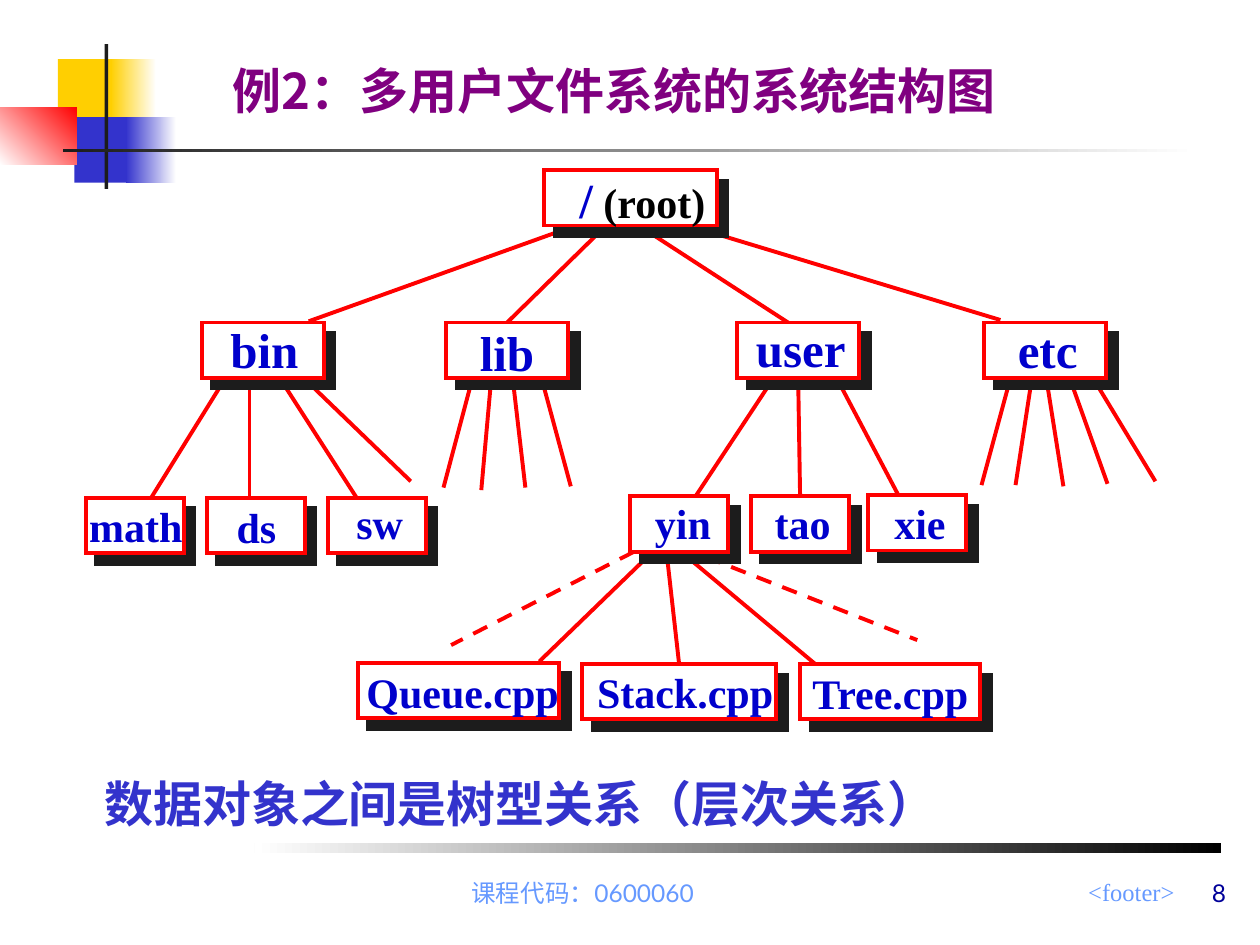
from lxml import etree
from pptx import Presentation, util as u
from pptx.dml.color import RGBColor
from pptx.enum import dml, shapes, text
from pptx.oxml.ns import qn

PX = 9144
RED, DARK, WHITE, BLUE = "FF0000", "1C1C1C", "FFFFFF", "3333CC"
LABEL = "0000CC"
SERIF, SANS, CJK = "Times New Roman", "Lato", "Noto Sans CJK SC"
NODE_H = 44

DECOR = [
    (46, 47, 48, 52, "FFCF01"),
    (88, 47, 36, 52, WHITE, "FFCF01"),
    (59, 93, 46, 52, BLUE),
    (100, 93, 40, 52, WHITE, BLUE),
    (0, 85, 61, 46, RED, WHITE, 225),
    (83, 35, 3, 115, DARK),
    (50, 118, 900, 3, WHITE, DARK),
    (202, 669, 767, 8, "000000", WHITE),
]

EDGES = [
    (543, 440, 647, 527), (519, 437, 428, 525),
    (529, 438, 538, 526, None, "Stack.cpp"),
    (868, 301, 917, 382), (850, 303, 879, 384), (831, 304, 844, 386),
    (802, 300, 779, 385), (819, 300, 806, 385),
    (664, 300, 713, 393), (616, 297, 552, 394),
    (636, 300, 634, 393, "user", "tao"),
    (430, 301, 453, 386), (407, 301, 417, 387),
    (390, 299, 382, 389), (375, 300, 352, 387),
    (241, 300, 326, 382), (222, 300, 283, 395),
    (198, 300, 198, 395), (179, 300, 120, 395),
    (553, 181, 794, 254), (510, 181, 627, 257),
    (480, 180, 402, 254, None, "lib"),
    (454, 180, 245, 255),
]
DASHED = [(560, 442, 728, 508), (503, 438, 358, 512)]

LEVELS = [
    (28, 97, 57, [
        ("bin", 160, 256, 173, 249, 74), ("lib", 354, 256, 371, 251, 63),
        ("user", 585, 256, 590, 248, 91), ("etc", 781, 256, 798, 249, 67)]),
    (24, 78, 50, [
        ("math", 68, 395, 61, 392, 94), ("ds", 164, 395, 178, 393, 51),
        ("sw", 260, 395, 273, 390, 57), ("yin", 500, 394, 510, 390, 64),
        ("tao", 596, 394, 605, 390, 64), ("xie", 689, 393, 700, 390, 60)]),
    (24, 160, 50, [("Queue.cpp", 284, 526, 281, 524, 173)]),
    (24, 154, 50, [("Stack.cpp", 462, 527, 464, 524, 160)]),
    (24, 143, 50, [("Tree.cpp", 635, 527, 635, 525, 147)]),
]


def px(*vals):
    return [u.Emu(v * PX) for v in vals]


def rgb(code):
    return RGBColor.from_string(code)


def add_rect(slide, box, fill):
    rect = slide.shapes.add_shape(shapes.MSO_SHAPE.RECTANGLE, *px(*box))
    rect.shadow.inherit = False
    rect.line.fill.background()
    rect.fill.solid()
    rect.fill.fore_color.rgb = rgb(fill)
    return rect


def add_decor(slide, x, y, w, h, first, last=None, angle=180):
    rect = add_rect(slide, (x, y, w, h), first)
    if last:
        rect.fill.gradient()
        rect.fill.gradient_angle = angle
        for stop, code in zip(rect.fill.gradient_stops, (first, last)):
            stop.color.rgb = rgb(code)


def style(run, size, face, color, bold):
    font = run.font
    font.size = u.Pt(size)
    font.bold = bold
    font.color.rgb = rgb(color)
    font.name = face
    east = etree.SubElement(run._r.get_or_add_rPr(), qn("a:ea"))
    east.set("typeface", CJK if face == SANS else face)


def add_text(slide, box, words, size, face, color, bold=False, align="LEFT",
             anchor="TOP"):
    shape = slide.shapes.add_textbox(*px(*box))
    frame = shape.text_frame
    frame.text = words
    frame.word_wrap = True
    frame.vertical_anchor = text.MSO_ANCHOR[anchor]
    para = frame.paragraphs[0]
    para.alignment = text.PP_ALIGN[align]
    style(para.runs[0], size, face, color, bold)
    return shape


def add_label(slide, box, words, size):
    shape = add_text(slide, box, words, size, SERIF, LABEL, True)
    shape.text_frame.margin_right = 0
    return shape


def add_edge(slide, ends, dash=False):
    line = slide.shapes.add_connector(shapes.MSO_CONNECTOR.STRAIGHT, *px(*ends))
    line.line.color.rgb = rgb(RED)
    line.line.width = u.Pt(2.25)
    if dash:
        line.line.dash_style = dml.MSO_LINE.DASH
    etree.SubElement(line._element.spPr, qn("a:effectLst"))
    return line


def add_node(slide, x, y, w):
    rect = add_rect(slide, (x, y, w, NODE_H), WHITE)
    rect.line.color.rgb = rgb(RED)
    rect.line.width = u.Pt(2.25)
    props = rect._element.spPr
    etree.SubElement(props.find(qn("a:ln")), qn("a:miter"), lim="800000")
    shade = etree.SubElement(props.find(qn("a:effectLst")),
                             qn("a:outerShdw"), dist=str(u.Pt(8.5)),
                             dir="2700000", algn="ctr", rotWithShape="0")
    etree.SubElement(shade, qn("a:srgbClr"), val=DARK)
    return rect


def add_root(slide):
    add_node(slide, 432, 135, 137)
    label = add_label(slide, (450, 130, 120, 57), "/", 28)
    run = label.text_frame.paragraphs[0].add_run()
    run.text = " (root)"
    style(run, 24, SERIF, "000000", True)


def add_tree(slide):
    for ends in DASHED:
        add_edge(slide, ends, True)
    joins = []
    for x1, y1, x2, y2, *names in EDGES:
        line = add_edge(slide, (x1, y1, x2, y2))
        if names:
            joins.append((line, *names))
    add_root(slide)
    nodes = {}
    for size, width, high, row in LEVELS:
        for name, x, y, left, top, wide in row:
            nodes[name] = add_node(slide, x, y, width)
            add_label(slide, (left, top, wide, high), name, size)
    for line, head, tail in joins:
        if head:
            line.begin_connect(nodes[head], 2)
        line.end_connect(nodes[tail], 0)


def main():
    deck = Presentation()
    deck.slide_width, deck.slide_height = px(1000, 750)
    slide = deck.slides.add_slide(deck.slide_layouts[6])
    for item in DECOR:
        add_decor(slide, *item)
    add_text(slide, (367, 691, 575, 26), "<footer>", 14, SERIF, "6699FF",
             align="RIGHT")
    add_text(slide, (350, 691, 225, 34), "课程代码：0600060", 14, SANS,
             "6699FF", align="CENTER", anchor="BOTTOM")
    add_text(slide, (175, 42, 658, 58), "例2：多用户文件系统的系统结构图", 28,
             CJK, "800080", True, anchor="BOTTOM")
    add_tree(slide)
    add_text(slide, (73, 609, 736, 82), "数据对象之间是树型关系（层次关系）",
             28, CJK, BLUE, True)
    add_text(slide, (658, 675, 325, 50), "8", 14, SANS, "000099",
             align="RIGHT", anchor="BOTTOM")
    deck.save("out.pptx")


if __name__ == "__main__":
    main()
